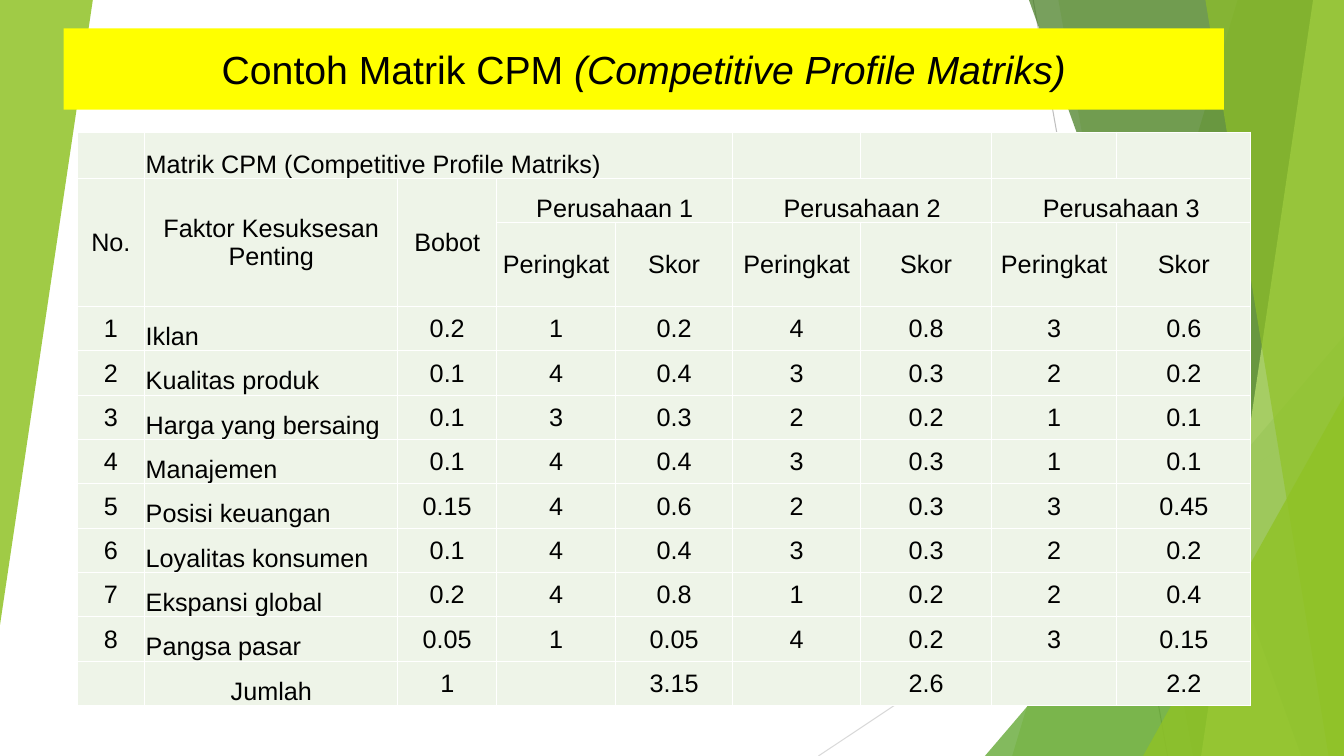
from dataclasses import dataclass

from lxml.etree import SubElement
from pptx import Presentation
from pptx.dml.color import RGBColor
from pptx.enum.shapes import MSO_CONNECTOR, MSO_SHAPE
from pptx.enum.text import MSO_ANCHOR, PP_ALIGN
from pptx.oxml.ns import qn
from pptx.util import Pt


@dataclass(frozen=True)
class Theme:
    """Colours, font and type sizes of the slide."""
    font: str = "Arial"
    title_size: float = 28
    table_size: float = 18
    text: str = "000000"
    title_fill: str = "FFFF00"
    cell_fill: str = "EEF4E8"
    border: str = "FFFFFF"
    lime: str = "90C226"
    pale_lime: str = "C0E474"
    green: str = "54A021"
    dark_green: str = "3F7819"
    grey: str = "BFBFBF"
    light_grey: str = "D9D9D9"


def add_text(paragraph, text, *, size, color, font, italic=False, align=PP_ALIGN.CENTER):
    """Append a formatted run to a paragraph."""
    paragraph.alignment = align
    run = paragraph.add_run()
    run.text = text
    run.font.name = font
    run.font.size = Pt(size)
    run.font.italic = italic
    run.font.color.rgb = RGBColor.from_string(color)


class SlideBuilder:
    """Draws styled elements on one slide, with lengths in points."""

    def __init__(self, slide, theme):
        self.slide = slide
        self.theme = theme

    def paint(self, shape, color, opacity=100):
        """Give a shape a plain fill without outline or shadow."""
        shape.shadow.inherit = False
        shape.line.fill.background()
        shape.fill.solid()
        shape.fill.fore_color.rgb = RGBColor.from_string(color)
        if opacity < 100:
            color_element = shape.fill._xPr.find(qn("a:solidFill"))[0]
            SubElement(color_element, qn("a:alpha"), val=str(opacity * 1000))

    def line(self, start, end, color):
        """Draw a thin straight line."""
        connector = self.slide.shapes.add_connector(
            MSO_CONNECTOR.STRAIGHT, *(Pt(value) for value in (*start, *end)))
        connector.line.width = Pt(0.75)
        connector.line.color.rgb = RGBColor.from_string(color)
        SubElement(connector._element.spPr, qn("a:effectLst"))

    def band(self, top_x, bottom_x, color, opacity):
        """Fill the area from a slanted edge to the right side of the slide."""
        builder = self.slide.shapes.build_freeform(Pt(top_x), Pt(0))
        corners = [(960, 0), (960, 540), (bottom_x, 540)]
        builder.add_line_segments([(Pt(x), Pt(y)) for x, y in corners], close=True)
        self.paint(builder.convert_to_shape(), color, opacity)

    def triangle(self, box, color, opacity, rotation=0):
        """Draw a right-angled triangle."""
        shape = self.slide.shapes.add_shape(
            MSO_SHAPE.ISOSCELES_TRIANGLE, *(Pt(value) for value in box))
        shape.adjustments[0] = 1
        shape.rotation = rotation
        self.paint(shape, color, opacity)

    def title(self, box, plain, italic):
        """Draw the title bar with a plain and an italic part."""
        theme = self.theme
        shape = self.slide.shapes.add_shape(
            MSO_SHAPE.RECTANGLE, *(Pt(value) for value in box))
        self.paint(shape, theme.title_fill)
        shape.text_frame.word_wrap = True
        shape.text_frame.vertical_anchor = MSO_ANCHOR.MIDDLE
        paragraph = shape.text_frame.paragraphs[0]
        style = {"size": theme.title_size, "color": theme.text, "font": theme.font}
        add_text(paragraph, plain, **style)
        add_text(paragraph, italic, italic=True, **style)

    def style_cell(self, cell):
        """Set the borders, fill and margins of a cell."""
        for side in ("a:lnL", "a:lnR", "a:lnT", "a:lnB"):
            border = SubElement(cell._tc.get_or_add_tcPr(), qn(side), w=str(Pt(1)))
            SubElement(SubElement(border, qn("a:solidFill")), qn("a:srgbClr"),
                       val=self.theme.border)
        cell.fill.solid()
        cell.fill.fore_color.rgb = RGBColor.from_string(self.theme.cell_fill)
        cell.margin_left = cell.margin_right = cell.margin_top = Pt(0.72)
        cell.margin_bottom = 0

    def table(self, left, top, widths, heights, rows, merges, left_cells, bottom_cells):
        """Draw the matrix with merged headings."""
        theme = self.theme
        frame = self.slide.shapes.add_table(
            len(heights), len(widths), Pt(left), Pt(top), Pt(sum(widths)), Pt(sum(heights)))
        table = frame.table
        table.first_row = table.horz_banding = False
        for column, width in zip(table.columns, widths):
            column.width = Pt(width)
        for row, height in zip(table.rows, heights):
            row.height = Pt(height)
        for row_index, row in enumerate(rows):
            for column_index, text in enumerate(row):
                place = (row_index, column_index)
                cell = table.cell(*place)
                self.style_cell(cell)
                bottom = place in bottom_cells
                cell.vertical_anchor = MSO_ANCHOR.BOTTOM if bottom else MSO_ANCHOR.MIDDLE
                if text:
                    add_text(cell.text_frame.paragraphs[0], text, size=theme.table_size,
                             color=theme.text, font=theme.font,
                             align=PP_ALIGN.LEFT if place in left_cells else PP_ALIGN.CENTER)
        for first, last in merges:
            table.cell(*first).merge(table.cell(*last))


FACTORS = [
    ("Iklan", 0.2, (1, 4, 3)),
    ("Kualitas produk", 0.1, (4, 3, 2)),
    ("Harga yang bersaing", 0.1, (3, 2, 1)),
    ("Manajemen", 0.1, (4, 3, 1)),
    ("Posisi keuangan", 0.15, (4, 2, 3)),
    ("Loyalitas konsumen", 0.1, (4, 3, 2)),
    ("Ekspansi global", 0.2, (4, 1, 2)),
    ("Pangsa pasar", 0.05, (1, 4, 3)),
]


def matrix_rows():
    """Return the table text, with scores and totals worked out."""
    rows = [
        ["", "Matrik CPM (Competitive Profile Matriks)"] + [""] * 7,
        ["No.", "Faktor Kesuksesan Penting", "Bobot"],
        [""] * 3 + ["Peringkat", "Skor"] * 3,
    ]
    total = ["", "Jumlah", f"{sum(weight for _, weight, _ in FACTORS):.3g}"]
    for company in range(3):
        rows[1] += [f"Perusahaan {company + 1}", ""]
        score = sum(weight * ratings[company] for _, weight, ratings in FACTORS)
        total += ["", f"{score:.3g}"]
    for number, (name, weight, ratings) in enumerate(FACTORS, 1):
        row = [str(number), name, f"{weight:g}"]
        for rating in ratings:
            row += [str(rating), f"{weight * rating:.3g}"]
        rows.append(row)
    return rows + [total]


def main():
    """Build and save the slide."""
    presentation = Presentation()
    presentation.slide_width, presentation.slide_height = Pt(960), Pt(540)
    slide = presentation.slides.add_slide(presentation.slide_layouts[6])
    theme = Theme()
    builder = SlideBuilder(slide, theme)

    builder.line((738, 0), (834, 540), theme.grey)
    builder.line((960, 290), (584.6, 540), theme.light_grey)
    builder.band(884, 723, theme.lime, 30)
    builder.band(756, 852, theme.lime, 20)
    builder.triangle((703.5, 240, 256.5, 300), theme.green, 72)
    builder.band(735, 929.5, theme.dark_green, 70)
    builder.band(938, 858, theme.pale_lime, 70)
    builder.band(861, 949, theme.lime, 65)
    builder.triangle((816.5, 283, 143.5, 257), theme.lime, 80)
    builder.triangle((0, 0, 66.3, 446.4), theme.lime, 85, rotation=180)

    builder.title((45.4, 20.2, 828.8, 58.2), "Contoh Matrik CPM ",
                  "(Competitive Profile Matriks)")
    company_columns = (3, 5, 7)
    names = {(row, 1) for row in range(3, 11)}
    builder.table(
        55, 94.4,
        widths=[48.4, 180.8, 70.6, 85, 83.6, 91.4, 93.6, 89.4, 95.8],
        heights=[33.2, 31.6, 59.8] + [31.68] * 9,
        rows=matrix_rows(),
        merges=[((0, 1), (0, 4))]
        + [((1, column), (2, column)) for column in range(3)]
        + [((1, column), (1, column + 1)) for column in company_columns],
        left_cells=names | {(0, 1)},
        bottom_cells=names | {(0, 1), (11, 1)} | {(1, column) for column in company_columns})
    presentation.save("out.pptx")


if __name__ == "__main__":
    main()
